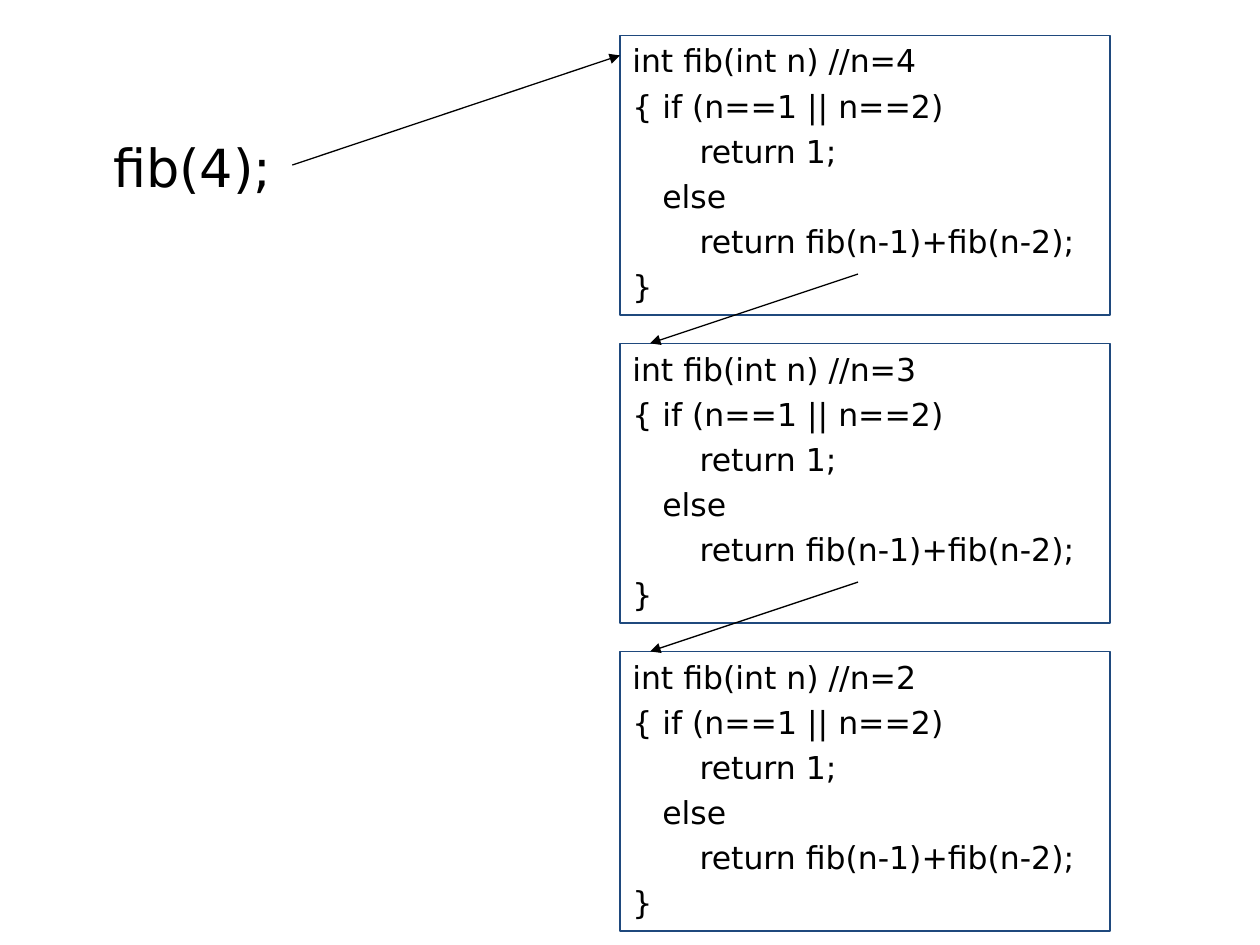
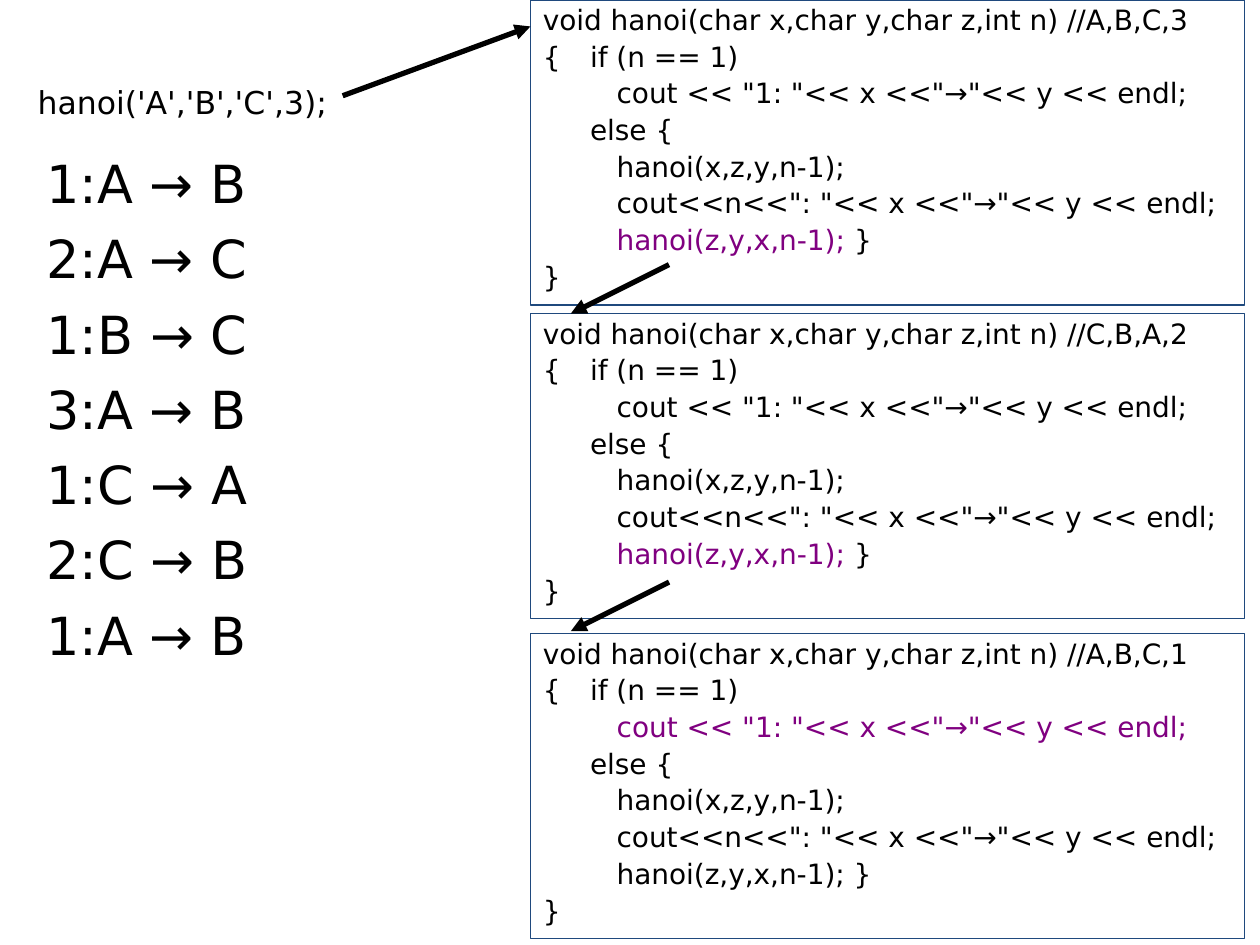
import pptx
import pptx.util
import pptx.dml.color
import pptx.enum.shapes
import pptx.enum.text
import pptx.oxml
import pptx.oxml.ns

FONT = "DejaVu Sans"
WHITE = pptx.dml.color.RGBColor(0xFF, 0xFF, 0xFF)
BLACK = pptx.dml.color.RGBColor(0x00, 0x00, 0x00)
NAVY = pptx.dml.color.RGBColor(0x1F, 0x49, 0x7D)
PURPLE = pptx.dml.color.RGBColor(0x80, 0x00, 0x80)

# Slide grid: 100 columns by 75 rows of square cells
WIDTH = pptx.util.Inches(10)
HEIGHT = pptx.util.Inches(7.5)
CELL = WIDTH / 100
HANGING = 3.75        # cells from the left edge of the text to its indent
PARAGRAPH_GAP = 0.233  # share of the font size

FIB_CODE = """int fib(int n) //n=%s
{ if (n==1 || n==2)
\t  return 1;
   else
\t  return fib(n-1)+fib(n-2);
}"""

HANOI_CODE = """void hanoi(char x,char y,char z,int n) //%s
{\tif (n == 1)
\t   cout << "1: "<< x <<"→"<< y << endl;
\telse {
\t   hanoi(x,z,y,n-1);
\t   cout<<n<<": "<< x <<"→"<< y << endl;
\t   hanoi(z,y,x,n-1); }
}"""

HANOI_MOVES = """1:A → B
2:A → C
1:B → C
3:A → B
1:C → A
2:C → B
1:A → B"""


def write_text(slide, text, left, top, width, height, size,
               framed=False, spacing=1.0, highlight=None):
    """Add a box of text in grid cells; highlight is the part shown in purple."""
    place = [round(length * CELL) for length in (left, top, width, height)]
    if framed:
        box = slide.shapes.add_shape(
            pptx.enum.shapes.MSO_SHAPE.RECTANGLE, *place)
        box.shadow.inherit = False
        box.fill.solid()
        box.fill.fore_color.rgb = WHITE
        box.line.color.rgb = NAVY
        box.line.width = pptx.util.Pt(0.75)
    else:
        box = slide.shapes.add_textbox(*place)
    frame = box.text_frame
    frame.word_wrap = True
    frame.vertical_anchor = pptx.enum.text.MSO_ANCHOR.TOP
    for number, line in enumerate(text.split("\n")):
        para = frame.paragraphs[0] if number == 0 else frame.add_paragraph()
        para.alignment = pptx.enum.text.PP_ALIGN.LEFT
        para.line_spacing = spacing
        if number > 0:
            para.space_before = pptx.util.Pt(PARAGRAPH_GAP * size)
        indent = round(HANGING * CELL)
        properties = para._p.get_or_add_pPr()
        properties.set("marL", str(indent))
        properties.set("indent", str(-indent))
        parts = line.partition(highlight) if highlight else [line]
        for part in filter(None, parts):
            span = para.add_run()
            span.text = part
            span.font.name = FONT
            span.font.size = pptx.util.Pt(size)
            span.font.color.rgb = PURPLE if part == highlight else BLACK


def draw_arrow(slide, start, end, weight):
    """Draw a black arrow between two grid points."""
    arrow = slide.shapes.add_connector(
        pptx.enum.shapes.MSO_CONNECTOR.STRAIGHT,
        *[round(length * CELL) for length in start + end])
    arrow.line.color.rgb = BLACK
    arrow.line.width = pptx.util.Pt(weight)
    head = pptx.oxml.parse_xml(
        '<a:tailEnd %s type="triangle"/>' % pptx.oxml.ns.nsdecls("a"))
    arrow.line._get_or_add_ln().append(head)
    arrow._element.spPr.append(pptx.oxml.parse_xml(
        "<a:effectLst %s/>" % pptx.oxml.ns.nsdecls("a")))


deck = pptx.Presentation()
deck.slide_width = WIDTH
deck.slide_height = HEIGHT
blank = deck.slide_layouts[6]
deck.slide_master.background.fill.solid()
deck.slide_master.background.fill.fore_color.rgb = WHITE

# Slide 1: nested calls of fib
fib_slide = deck.slides.add_slide(blank)
fib_left, fib_top, fib_pitch = 49.2, 2.8, 24.45
write_text(fib_slide, "fib(4);", 8, 10.2, 15.6, 6, 30)
for level, n in enumerate("432"):
    write_text(fib_slide, FIB_CODE % n, fib_left, fib_top + level * fib_pitch,
               38.9, 22.2, 18, framed=True)
draw_arrow(fib_slide, (23.2, 13.1), (fib_left, 4.4), 0.75)
for level in (1, 2):
    callee_top = fib_top + level * fib_pitch
    draw_arrow(fib_slide, (68.1, callee_top - 5.5), (51.6, callee_top), 0.75)

# Slide 2: nested calls of hanoi, and the moves printed
hanoi_slide = deck.slides.add_slide(blank)
hanoi_left = 42.1
last_call = "hanoi(z,y,x,n-1); "
first_move = 'cout << "1: "<< x <<"→"<< y << endl;'
write_text(hanoi_slide, "hanoi('A','B','C',3);", 2, 6.1, 25.8, 4, 18)
write_text(hanoi_slide, HANOI_MOVES, 2.7, 11.5, 19.4, 42, 30)
for top, arguments, current in ((0, "A,B,C,3", last_call),
                                (24.9, "C,B,A,2", last_call),
                                (50.3, "A,B,C,1", first_move)):
    write_text(hanoi_slide, HANOI_CODE % arguments, hanoi_left, top, 56.7, 24.2,
               16, framed=True, spacing=0.9, highlight=current)
draw_arrow(hanoi_slide, (27.2, 7.6), (hanoi_left, 2.1), 3)
for arrow_end in (24.9, 50.1):
    draw_arrow(hanoi_slide, (53.1, arrow_end - 3.9), (45.3, arrow_end), 3)

deck.save("out.pptx")
